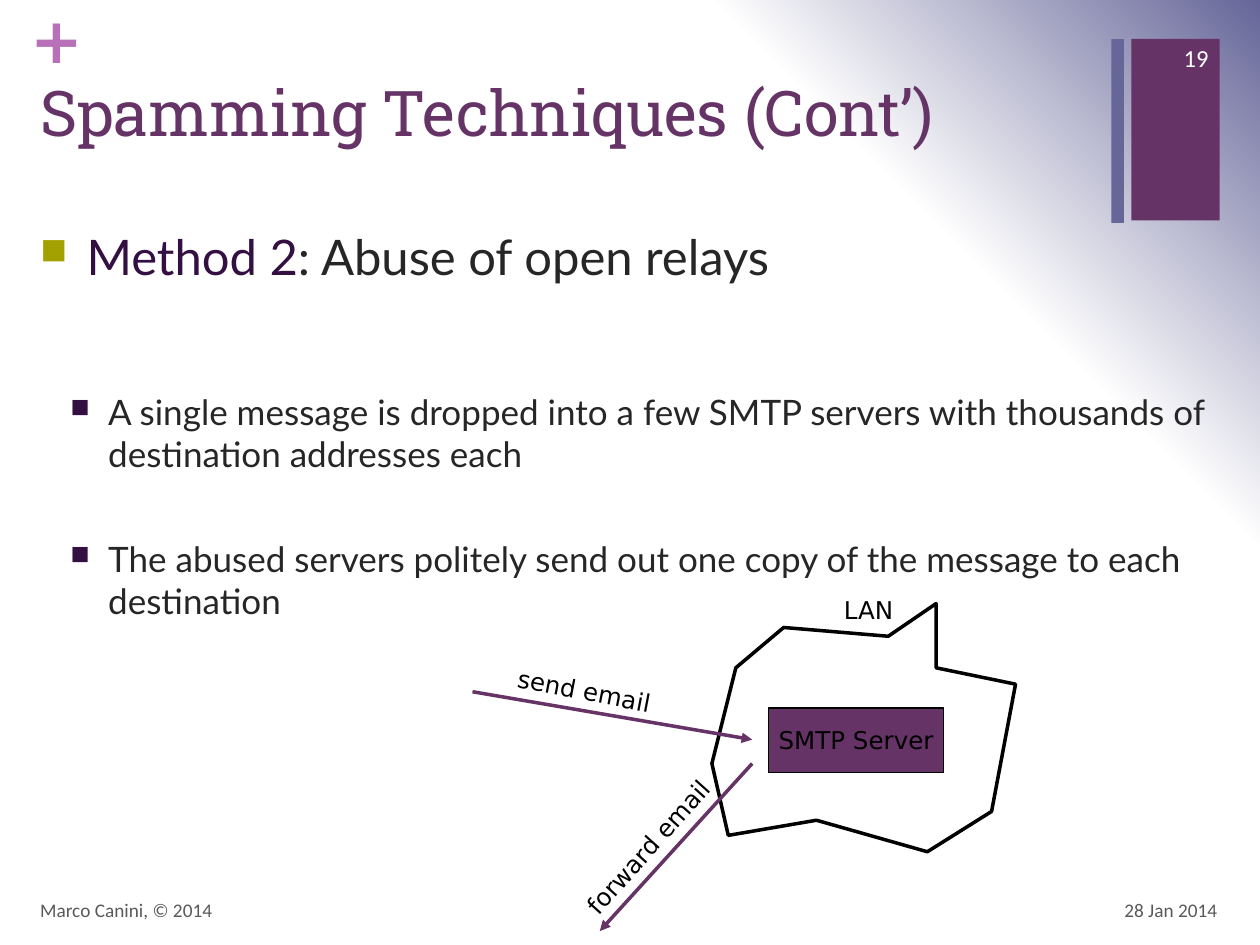
"""Build the slide on spamming through open mail relays."""
from dataclasses import dataclass
from typing import NamedTuple

from lxml import etree
from pptx import Presentation, util as u
from pptx.dml import color
from pptx.enum import shapes, text
from pptx.oxml import ns

SLIDE_WIDTH, SLIDE_HEIGHT = u.Inches(10), u.Inches(7.5)


@dataclass(frozen=True)
class Theme:
    plum: str = "663366"
    slate: str = "666699"
    orchid: str = "B870B8"
    olive: str = "A3A101"
    violet: str = "330F42"
    ink: str = "262626"
    grey: str = "595959"
    black: str = "000000"
    white: str = "FFFFFF"
    heading: str = "Roboto Slab"
    body: str = "Lato"
    small: str = "Calibri"
    diagram: str = "DejaVu Sans"
    title_size: int = 36
    method_size: int = 28
    detail_size: int = 20
    label_size: int = 14
    footer_size: int = 11
    thin: float = 0.75
    thick: float = 2


class Area(NamedTuple):
    """Hold left, top, width and height as percentages of the slide."""
    left: float
    top: float
    width: float
    height: float


class Point(NamedTuple):
    """Hold a position as percentages of the slide."""
    x: float
    y: float


class Label(NamedTuple):
    words: str
    area: Area
    style: dict


class Bullet(NamedTuple):
    runs: list[tuple[str, str]]
    size: int
    level: int
    margin: float
    hanging: float
    marker: str
    before: int


THEME = Theme()
TITLE = dict(font=THEME.heading, size=THEME.title_size, ink=THEME.plum)
PLUS = dict(font=THEME.diagram, size=THEME.title_size, ink=THEME.orchid, bold=True, inset=0)
FOOTER = dict(font=THEME.small, size=THEME.footer_size, ink=THEME.grey, middle=True)
NUMBER = dict(font=THEME.small, size=THEME.label_size, ink=THEME.white, middle=True,
              align=text.PP_ALIGN.RIGHT)
DIAGRAM = dict(font=THEME.diagram, size=THEME.label_size, ink=THEME.black)

BARS = [(Area(89.8, 4.13, 7, 19.2), THEME.plum), (Area(88.2, 4.13, 1, 19.47), THEME.slate)]
LABELS = [
    Label("+", Area(2.4, 0, 2.9, 8.13), PLUS),
    Label("Spamming Techniques (Cont’)", Area(2.2, 7.07, 85.9, 16.27), TITLE),
    Label("28 Jan 2014", Area(74.3, 93.6, 23.3, 5.33), FOOTER | dict(align=text.PP_ALIGN.RIGHT)),
    Label("Marco Canini, © 2014", Area(2.2, 93.6, 67, 5.33), FOOTER),
    Label("19", Area(90.8, 3.47, 6.1, 5.33), NUMBER),
]
DETAIL = dict(size=THEME.detail_size, level=1, margin=0.54, hanging=0.3, marker=THEME.violet)
BODY = Area(2.2, 23.33, 95.4, 70.27)
BULLETS = [
    Bullet([("Method 2", THEME.violet), (": Abuse of open relays", THEME.ink)],
           THEME.method_size, 0, 0.37, 0.37, THEME.olive, 0),
    Bullet([("A single message is dropped into a few SMTP servers with thousands of "
             "destination addresses each", THEME.ink)], before=60, **DETAIL),
    Bullet([("The abused servers politely send out one copy of the message to each "
             "destination", THEME.ink)], before=36, **DETAIL),
]
SERVER = Area(61, 74.93, 13.9, 6.8)
NETWORK = [Point(62.2, 66.4), Point(58.4, 70.67), Point(56.5, 80.8), Point(57.8, 88.4),
           Point(64.8, 86.8), Point(73.6, 90.13), Point(78.7, 85.87), Point(80.6, 72.4),
           Point(74.3, 70.67), Point(74.3, 63.87), Point(70.5, 67.33)]
ARROWS = [(Point(37.5, 73.2), Point(59.7, 78.27)), (Point(59.7, 80.8), Point(47.6, 98.53))]
DIAGRAM_LABELS = [
    Label("LAN", Area(66, 62.27, 6.3, 4.53), DIAGRAM),
    Label("send email", Area(40, 71.33, 16.5, 4.53), DIAGRAM | dict(turn=10.9)),
    Label("forward email", Area(42.6, 84, 22.2, 4.53), DIAGRAM | dict(turn=311.9)),
]


def across(share: float) -> int:
    """Turn a percentage of the slide width into a length."""
    return round(SLIDE_WIDTH * share / 100)


def down(share: float) -> int:
    """Turn a percentage of the slide height into a length."""
    return round(SLIDE_HEIGHT * share / 100)


def box(area: Area) -> tuple[int, int, int, int]:
    """Turn an area into the lengths that a shape takes."""
    return across(area.left), down(area.top), across(area.width), down(area.height)


def add_element(parent, tag: str, **attributes: str):
    """Append a drawing element to a parent."""
    return etree.SubElement(parent, ns.qn(tag), attributes)


def paint_background(slide) -> None:
    """Fill the slide with a round gradient centred on the lower left corner."""
    slide.background.fill.gradient()
    gradient = slide.element.find(".//" + ns.qn("a:gradFill"))
    for child in list(gradient):
        gradient.remove(child)
    stops = add_element(gradient, "a:gsLst")
    for share, shade in ((0, THEME.white), (75, THEME.white), (100, THEME.slate)):
        stop = add_element(stops, "a:gs", pos=str(share * 1000))
        add_element(stop, "a:srgbClr", val=shade)
    circle = add_element(gradient, "a:path", path="circle")
    add_element(circle, "a:fillToRect", l="0", t="100000", r="100000", b="0")


def set_line(line, shade: str, width: float) -> None:
    """Give a line its colour and width."""
    line.color.rgb = color.RGBColor.from_string(shade)
    line.width = u.Pt(width)


def add_run(paragraph, words: str, *, font: str, size: int, ink: str, bold: bool = False) -> None:
    """Add a formatted run to a paragraph."""
    run = paragraph.add_run()
    run.text = words
    run.font.name, run.font.size, run.font.bold = font, u.Pt(size), bold
    run.font.color.rgb = color.RGBColor.from_string(ink)


def write(shape, words: str, *, align=text.PP_ALIGN.LEFT, middle: bool = False, wrap: bool = True,
          inset: float | None = None, turn: float = 0, **style) -> None:
    """Write one formatted paragraph into a shape."""
    frame = shape.text_frame
    frame.word_wrap = wrap
    frame.vertical_anchor = text.MSO_ANCHOR.MIDDLE if middle else text.MSO_ANCHOR.TOP
    if inset is not None:
        frame.margin_left = frame.margin_top = u.Inches(inset)
        frame.margin_right = frame.margin_bottom = u.Inches(inset)
    shape.rotation = turn
    frame.paragraphs[0].alignment = align
    add_run(frame.paragraphs[0], words, **style)


def add_label(slide, label: Label) -> None:
    """Add a text box that holds a label."""
    write(slide.shapes.add_textbox(*box(label.area)), label.words, **label.style)


def add_block(slide, area: Area, shade: str):
    """Add a plain filled rectangle."""
    shape = slide.shapes.add_shape(shapes.MSO_SHAPE.RECTANGLE, *box(area))
    shape.shadow.inherit = False
    shape.fill.solid()
    shape.fill.fore_color.rgb = color.RGBColor.from_string(shade)
    shape.line.fill.background()
    return shape


def add_bullets(slide, area: Area, bullets: list[Bullet]) -> None:
    """Add the bulleted body text."""
    frame = slide.shapes.add_textbox(*box(area)).text_frame
    frame.word_wrap = True
    for index, bullet in enumerate(bullets):
        paragraph = frame.add_paragraph() if index else frame.paragraphs[0]
        paragraph.level = bullet.level
        properties = paragraph._p.get_or_add_pPr()
        properties.set("marL", str(u.Inches(bullet.margin)))
        properties.set("indent", str(-u.Inches(bullet.hanging)))
        add_element(add_element(properties, "a:buClr"), "a:srgbClr", val=bullet.marker)
        add_element(properties, "a:buSzPct", val="75000")
        add_element(properties, "a:buChar", char="■")
        paragraph.space_before = u.Pt(bullet.before)
        for words, ink in bullet.runs:
            add_run(paragraph, words, font=THEME.body, size=bullet.size, ink=ink)


def add_outline(slide, points: list[Point]) -> None:
    """Add a closed outline without a fill."""
    corners = [(across(point.x), down(point.y)) for point in points]
    builder = slide.shapes.build_freeform(*corners[0])
    builder.add_line_segments(corners[1:], close=True)
    shape = builder.convert_to_shape()
    shape.shadow.inherit = False
    shape.fill.background()
    set_line(shape.line, THEME.black, THEME.thick)


def add_arrow(slide, start: Point, end: Point) -> None:
    """Add a straight arrow between two points."""
    arrow = slide.shapes.add_connector(shapes.MSO_CONNECTOR.STRAIGHT, across(start.x),
                                       down(start.y), across(end.x), down(end.y))
    set_line(arrow.line, THEME.plum, THEME.thick)
    add_element(arrow.line._get_or_add_ln(), "a:tailEnd", type="triangle")
    add_element(arrow._element.spPr, "a:effectLst")


def main() -> None:
    """Build the slide and save it."""
    presentation = Presentation()
    presentation.slide_width, presentation.slide_height = SLIDE_WIDTH, SLIDE_HEIGHT
    slide = presentation.slides.add_slide(presentation.slide_layouts[6])
    paint_background(slide)
    for area, shade in BARS:
        add_block(slide, area, shade)
    for label in LABELS:
        add_label(slide, label)
    add_bullets(slide, BODY, BULLETS)
    server = add_block(slide, SERVER, THEME.plum)
    set_line(server.line, THEME.black, THEME.thin)
    write(server, "SMTP Server", align=text.PP_ALIGN.CENTER, middle=True, wrap=False, **DIAGRAM)
    add_outline(slide, NETWORK)
    for start, end in ARROWS:
        add_arrow(slide, start, end)
    for label in DIAGRAM_LABELS:
        add_label(slide, label)
    presentation.save("out.pptx")


if __name__ == "__main__":
    main()
